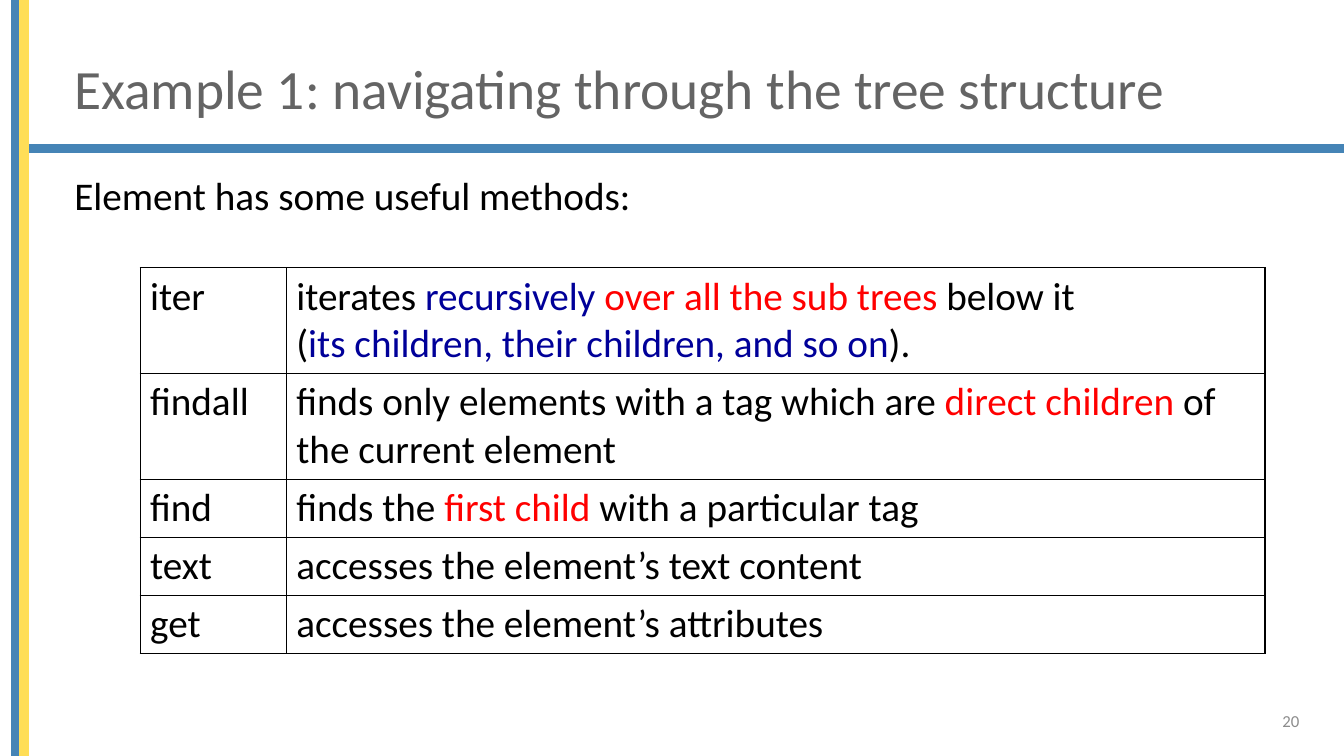
from lxml import etree
from pptx import Presentation
from pptx.dml.color import RGBColor
from pptx.enum import shapes, text
from pptx.oxml import ns
from pptx.util import Pt

BLUE = RGBColor(0x45, 0x84, 0xB6)
YELLOW = RGBColor(0xFF, 0xDE, 0x57)
TITLE_GREY = RGBColor(0x64, 0x64, 0x64)
NUMBER_GREY = RGBColor(0x8C, 0x8C, 0x8C)
BLACK = RGBColor(0, 0, 0)
RED = RGBColor(0xFF, 0, 0)
NAVY = RGBColor(0, 0, 0x99)
FONT = "Calibri"

prs = Presentation()
prs.slide_width, prs.slide_height = Pt(960), Pt(540)
slide = prs.slides.add_slide(prs.slide_layouts[6])


def set_font(p, size, color):
    p.font.name, p.font.size = FONT, Pt(size)
    p.font.color.rgb = color


def add_text(words, box, size, color, anchor):
    tf = slide.shapes.add_textbox(*[Pt(v) for v in box]).text_frame
    tf.word_wrap = True
    tf.vertical_anchor = anchor
    p = tf.paragraphs[0]
    p.text = words
    set_font(p, size, color)
    return p


# Coloured bars: rule under the title, then the two at the left edge
BARS = [
    (13.3, 103.3, 946.7, 5.8, BLUE),
    (8.6, 0, 5.8, 540, BLUE),
    (14.4, 0, 5.8, 540, YELLOW),
]
for *box, color in BARS:
    sp = slide.shapes.add_shape(shapes.MSO_SHAPE.RECTANGLE, *[Pt(v) for v in box])
    sp.shadow.inherit = False
    sp.fill.solid()
    sp.fill.fore_color.rgb = color
    sp.line.color.rgb = color
    sp.line.width = Pt(1)

# Title, lead-in and slide number
title = add_text("Example 1: navigating through the tree structure",
                 (46, 28.8, 848, 72.7), 39.6, TITLE_GREY, text.MSO_ANCHOR.MIDDLE)
title.line_spacing = 0.9
lead = add_text("Element has some useful methods:",
                (46, 122.4, 889, 364), 28, BLACK, text.MSO_ANCHOR.TOP)
lead.line_spacing = 0.9
lead.space_before = Pt(10)
number = add_text("20", (719.3, 500.4, 216, 28.8), 12, NUMBER_GREY, text.MSO_ANCHOR.MIDDLE)
number.alignment = text.PP_ALIGN.RIGHT

# Methods: name, row height, description runs ("\n" is a line break)
METHODS = [
    ("iter", 75.6, [("iterates ", BLACK), ("recursively", NAVY),
                    (" over all the sub trees ", RED), ("below it ", BLACK),
                    ("\n", BLACK), ("(", BLACK),
                    ("its children, their children, and so on", NAVY), (").", BLACK)]),
    ("findall", 75.6, [("finds only elements with a tag which are ", BLACK),
                       ("direct children ", RED), ("of the current element", BLACK)]),
    ("find", 41.4, [("finds the ", BLACK), ("first child ", RED),
                    ("with a particular tag", BLACK)]),
    ("text", 41.4, [("accesses the element’s text content", BLACK)]),
    ("get", 41.4, [("accesses the element’s attributes", BLACK)]),
]
COLUMNS = (104.4, 699.1)
table = slide.shapes.add_table(len(METHODS), len(COLUMNS), Pt(100.1), Pt(191.2), Pt(sum(COLUMNS)),
                               Pt(sum(m[1] for m in METHODS))).table
table.first_row = table.horz_banding = False
for column, width in zip(table.columns, COLUMNS):
    column.width = Pt(width)

for row, (name, height, description) in zip(table.rows, METHODS):
    row.height = Pt(height)
    for cell, runs in zip(row.cells, ([(name, BLACK)], description)):
        p = cell.text_frame.paragraphs[0]
        set_font(p, 28, BLACK)
        for words, color in runs:
            if words == "\n":
                p.add_line_break()
                continue
            r = p.add_run()
            r.text = words
            if color != BLACK:
                r.font.color.rgb = color

        # Thin black borders; they precede the fill in the cell properties
        tcPr = cell._tc.get_or_add_tcPr()
        for side in ("a:lnL", "a:lnR", "a:lnT", "a:lnB"):
            ln = etree.SubElement(tcPr, ns.qn(side), w=str(Pt(1)))
            fill = etree.SubElement(ln, ns.qn("a:solidFill"))
            etree.SubElement(fill, ns.qn("a:srgbClr"), val=str(BLACK))
        cell.fill.background()

prs.save("out.pptx")
